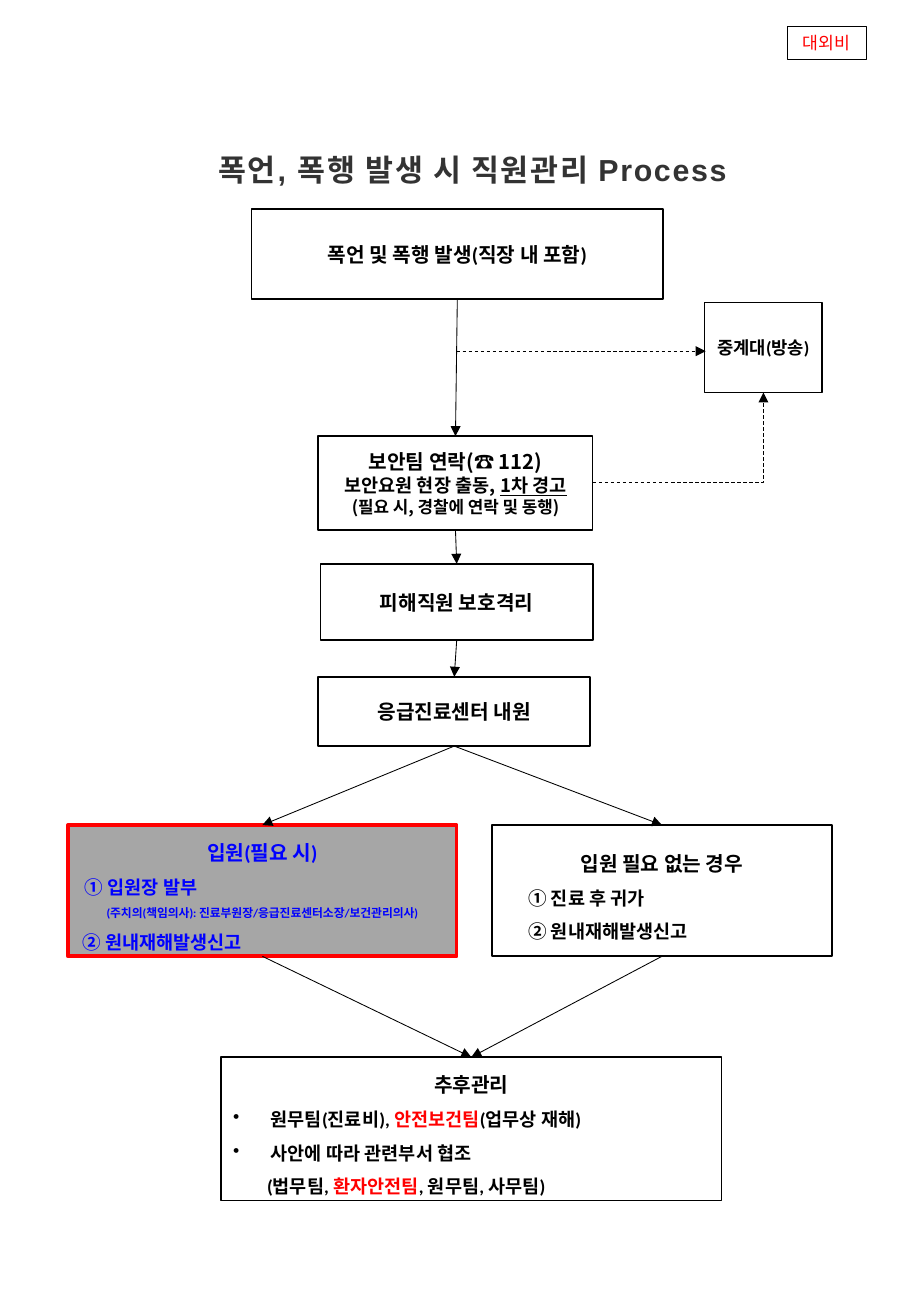
from dataclasses import dataclass, field
from typing import Optional

import pptx
import pptx.util
import pptx.dml.color
import pptx.enum.dml
import pptx.enum.shapes
import pptx.enum.text
from lxml import etree
from pptx.oxml.ns import qn

Inches, Pt = pptx.util.Inches, pptx.util.Pt
RGBColor = pptx.dml.color.RGBColor
CONNECTOR = pptx.enum.shapes.MSO_CONNECTOR
ALIGN = pptx.enum.text.PP_ALIGN
MIDDLE = pptx.enum.text.MSO_ANCHOR.MIDDLE

BLACK = RGBColor(0x00, 0x00, 0x00)
WHITE = RGBColor(0xFF, 0xFF, 0xFF)
RED = RGBColor(0xFF, 0x00, 0x00)
BLUE = RGBColor(0x00, 0x00, 0xFF)
GREY = RGBColor(0xA6, 0xA6, 0xA6)
CHARCOAL = RGBColor(0x33, 0x33, 0x33)
NOTO = "Noto Sans CJK KR"


@dataclass
class Line:
    """One paragraph; it is centred unless it has an indent in inches."""
    runs: list  # (text, font overrides)
    size: float = 12
    font: str = "Calibri"
    color: RGBColor = BLACK
    bold: bool = True
    indent: Optional[float] = None
    bullet: bool = False


@dataclass
class Box:
    place: tuple  # left, top, width, height
    lines: list
    spacing: float = 1
    fill: Optional[RGBColor] = None
    border: RGBColor = BLACK
    border_width: float = 1


def plain(text, **options):
    return Line([(text, {})], **options)


TITLE = "폭언, 폭행 발생 시 직원관리 Process"
BOXES = {
    "admission": Box((0.56, 6.79, 3.2, 1.08), [
        plain("입원(필요 시)", color=BLUE),
        plain("① 입원장 발부", size=11, font=NOTO, color=BLUE, indent=0.04),
        plain("(주치의(책임의사): 진료부원장/응급진료센터소장/보건관리의사)",
              size=7, color=BLUE),
        plain("② 원내재해발생신고", size=11, font=NOTO, color=BLUE, indent=0.02),
    ], spacing=1.5, fill=GREY, border=RED, border_width=2.25),
    "relay": Box((5.8, 2.49, 0.97, 0.74), [plain("중계대(방송)", size=10.5)]),
    "security": Box((2.62, 3.59, 2.26, 0.77), [
        Line([("보안팀 연락(", {}), ("☎ ", {"bold": False}), ("112)", {})],
             font=NOTO),
        Line([("보안요원 현장 출동, ", {}), ("1차 경고", {"underline": True})],
             size=11, font=NOTO),
        plain("(필요 시, 경찰에 연락 및 동행)", size=10, font=NOTO),
    ]),
    "incident": Box((2.07, 1.72, 3.39, 0.74),
                    [plain("폭언 및 폭행 발생(직장 내 포함)")]),
    "isolation": Box((2.64, 4.64, 2.24, 0.63), [plain("피해직원 보호격리")]),
    "emergency": Box((2.62, 5.57, 2.24, 0.57), [plain("응급진료센터 내원")]),
    "discharge": Box((4.05, 6.79, 2.8, 1.08), [
        plain("입원 필요 없는 경우"),
        plain("① 진료 후 귀가", size=11, font="Arial", indent=0.2),
        plain("② 원내재해발생신고", size=11, font="Arial", indent=0.2),
    ], spacing=1.5),
    "follow-up": Box((1.82, 8.7, 4.12, 1.18), [
        plain("추후관리"),
        Line([("원무팀(진료비), ", {}), ("안전보건팀", {"color": RED}),
              ("(업무상 재해)", {})], size=11, indent=0.31, bullet=True),
        plain("사안에 따라 관련부서 협조", size=11, indent=0.31, bullet=True),
        Line([("(법무팀, ", {}), ("환자안전팀", {"color": RED}),
              (", 원무팀, 사무팀)", {})], size=11, indent=0.28),
    ], spacing=1.5),
    "confidential": Box((6.48, 0.22, 0.65, 0.27), [
        plain("대외비", size=10.2, font=NOTO, color=RED, bold=False),
    ], fill=WHITE, border_width=0.5),
}
FLOW = [
    ("incident", "security"), ("security", "isolation"),
    ("isolation", "emergency"),
    ("emergency", "admission"), ("emergency", "discharge"),
    ("admission", "follow-up"), ("discharge", "follow-up"),
]
BROADCAST_START, BROADCAST_END = (3.76, 2.89), (5.81, 2.89)
TOP, BOTTOM, RIGHT = 0, 2, 3  # connection sites of a rectangle


def write_line(paragraph, line, spacing):
    paragraph.alignment = ALIGN.CENTER if line.indent is None else ALIGN.LEFT
    paragraph.line_spacing = spacing
    if line.indent is not None:
        properties = paragraph._p.get_or_add_pPr()
        properties.set("marL", str(Inches(line.indent)))
        properties.set("indent", str(-Inches(line.indent) if line.bullet else 0))
        if line.bullet:
            etree.SubElement(properties, qn("a:buChar")).set("char", "•")
    paragraph.font.name = line.font
    paragraph.font.size = Pt(line.size)
    paragraph.font.bold = line.bold
    paragraph.font.color.rgb = line.color
    for text, changes in line.runs:
        run = paragraph.add_run()
        run.text = text
        if "bold" in changes:
            run.font.bold = changes["bold"]
        if "underline" in changes:
            run.font.underline = changes["underline"]
        if "color" in changes:
            run.font.color.rgb = changes["color"]


def add_box(slide, box):
    shape = slide.shapes.add_shape(pptx.enum.shapes.MSO_SHAPE.RECTANGLE,
                                   *map(Inches, box.place))
    shape.shadow.inherit = False
    if box.fill is None:
        shape.fill.background()
    else:
        shape.fill.solid()
        shape.fill.fore_color.rgb = box.fill
    shape.line.color.rgb = box.border
    shape.line.width = Pt(box.border_width)
    frame = shape.text_frame
    frame.vertical_anchor = MIDDLE
    frame.word_wrap = any(line.indent is not None for line in box.lines)
    for index, line in enumerate(box.lines):
        paragraph = frame.add_paragraph() if index else frame.paragraphs[0]
        write_line(paragraph, line, box.spacing)
    return shape


def add_arrow(slide, start=(0, 0), end=(0, 0), kind=CONNECTOR.STRAIGHT,
              dashed=False):
    arrow = slide.shapes.add_connector(kind, *map(Inches, (*start, *end)))
    arrow.line.color.rgb = BLACK
    arrow.line.width = Pt(0.5)
    if dashed:
        arrow.line.dash_style = pptx.enum.dml.MSO_LINE.DASH
    outline = arrow.line._get_or_add_ln()
    etree.SubElement(outline, qn("a:tailEnd")).set("type", "triangle")
    etree.SubElement(arrow._element.spPr, qn("a:effectLst"))
    return arrow


def join(arrow, first, first_site, second, second_site):
    arrow.begin_connect(first, first_site)
    arrow.end_connect(second, second_site)


def add_title(slide):
    title = slide.shapes.title
    title.left, title.top, title.width, title.height = map(
        Inches, (0.84, 1.19, 6.1, 0.4))
    frame = title.text_frame
    frame.auto_size = pptx.enum.text.MSO_AUTO_SIZE.NONE
    frame.vertical_anchor = MIDDLE
    paragraph = frame.paragraphs[0]
    write_line(paragraph, plain(TITLE, size=18, font="Arial", color=CHARCOAL), 1)
    paragraph.runs[0]._r.get_or_add_rPr().set("spc", "100")


def main():
    presentation = pptx.Presentation()
    presentation.slide_width = Inches(7.5)
    presentation.slide_height = Inches(10.83)
    slide = presentation.slides.add_slide(presentation.slide_layouts[5])
    add_title(slide)
    shapes = {name: add_box(slide, box) for name, box in BOXES.items()}
    for first, second in FLOW:
        join(add_arrow(slide), shapes[first], BOTTOM, shapes[second], TOP)
    add_arrow(slide, BROADCAST_START, BROADCAST_END, dashed=True)
    bend = add_arrow(slide, kind=CONNECTOR.ELBOW, dashed=True)
    bend._element.spPr.find(qn("a:prstGeom")).set("prst", "bentConnector2")
    join(bend, shapes["security"], RIGHT, shapes["relay"], BOTTOM)
    presentation.save("out.pptx")


if __name__ == "__main__":
    main()
